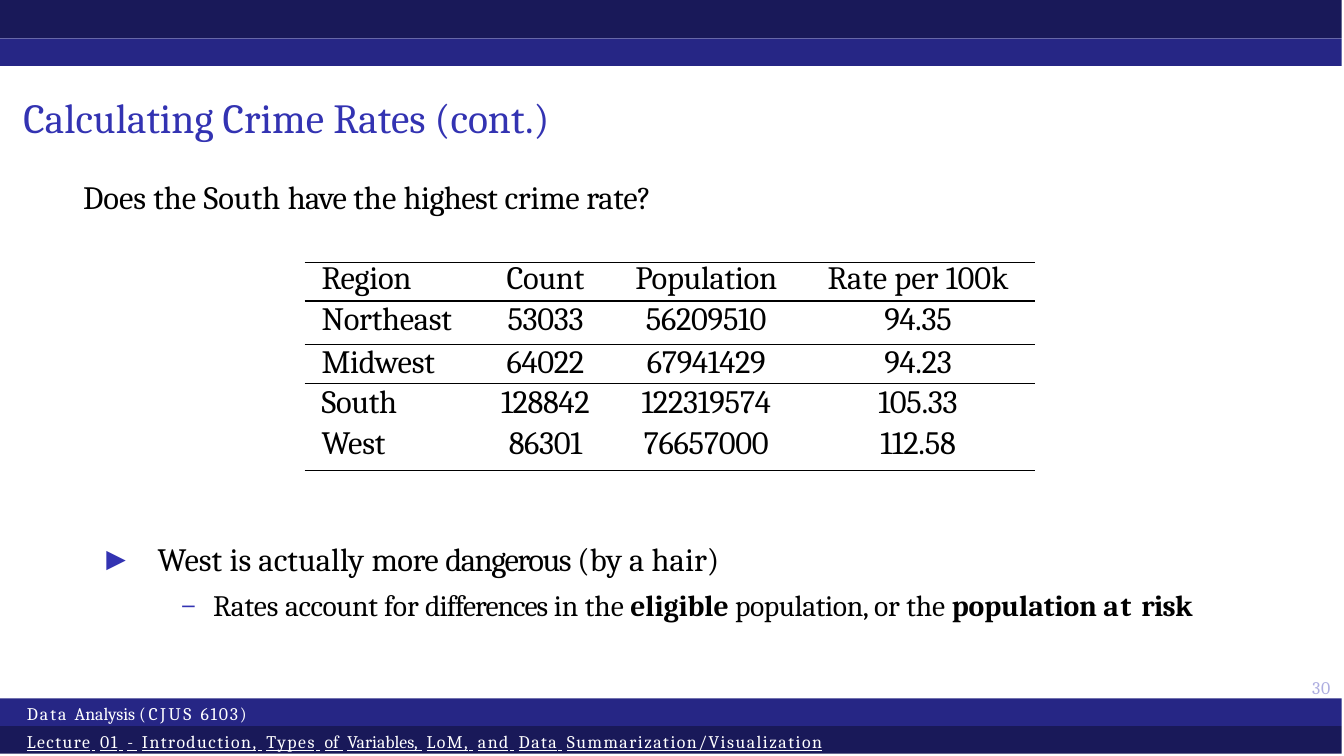
from dataclasses import dataclass

from lxml import etree
from pptx import Presentation
from pptx import util as u
from pptx.dml.color import RGBColor
from pptx.enum import shapes, text
from pptx.oxml import ns

WIDTH, HEIGHT = 6.31, 3.55
SERIF = "Cambria"
NAVY, INDIGO, VIOLET, LAVENDER = "191959", "262685", "3333B2", "ADADE0"
BLACK, WHITE = "000000", "FFFFFF"


@dataclass
class Box:
    left: float
    top: float
    width: float
    height: float

    def area(self, left, top, width, height):
        return Box(self.left + left * self.width, self.top + top * self.height,
                   width * self.width, height * self.height)

    def lengths(self):
        return [u.Inches(value) for value in (self.left, self.top, self.width, self.height)]


def color(value):
    return RGBColor.from_string(value)


def add_xml(parent, tag, position=None, **attributes):
    element = etree.Element(ns.qn(tag), attributes)
    parent.insert(len(parent) if position is None else position, element)
    return element


def add_runs(paragraph, pieces, bold=()):
    for words, spacing in pieces:
        run = paragraph.add_run()
        run.text = words
        if words.strip() in bold:
            run.font.bold = True
        if spacing:
            run._r.get_or_add_rPr().set("spc", str(round(spacing * 100)))


def style(paragraph, size, value, before=0):
    paragraph.space_before = u.Pt(before)
    paragraph.font.name = SERIF
    paragraph.font.size = u.Pt(size)
    paragraph.font.color.rgb = color(value)


def prepare(shape, box, inset=0):
    shape.left, shape.top, shape.width, shape.height = box.lengths()
    frame = shape.text_frame
    frame.word_wrap = True
    frame.auto_size = text.MSO_AUTO_SIZE.NONE
    frame.vertical_anchor = text.MSO_ANCHOR.TOP
    frame.margin_left = frame.margin_right = frame.margin_bottom = 0
    frame.margin_top = u.Inches(inset)
    return frame


def add_text(slide, box, pieces, size, value, inset):
    frame = prepare(slide.shapes.add_textbox(*box.lengths()), box, inset)
    add_runs(frame.paragraphs[0], pieces)
    style(frame.paragraphs[0], size, value)
    return frame


def add_bands(slide, box, bands):
    top = 0
    for share, value in bands:
        band = slide.shapes.add_shape(shapes.MSO_SHAPE.RECTANGLE,
                                      *box.area(0, top, 1, share).lengths())
        band.shadow.inherit = False
        band.fill.solid()
        band.fill.fore_color.rgb = color(value)
        band.line.fill.background()
        top += share


def add_title(slide, box):
    paragraph = prepare(slide.shapes.title, box, 0.04).paragraphs[0]
    add_runs(paragraph, [("Calculating Crime Rates (cont.)", 0)])
    paragraph.alignment = text.PP_ALIGN.LEFT
    style(paragraph, 14, VIOLET)


def add_rule(slide, box):
    left, top, width, _ = box.lengths()
    rule = slide.shapes.add_connector(shapes.MSO_CONNECTOR.STRAIGHT,
                                      left, top, left + width, top)
    rule.line.color.rgb = color(BLACK)
    rule.line.width = u.Pt(0.4)
    add_xml(rule._element.spPr, "a:effectLst")


def add_border(cell, side, position):
    line = add_xml(cell._tc.get_or_add_tcPr(), side, position, w=str(u.Pt(0.5)))
    add_xml(add_xml(line, "a:solidFill"), "a:srgbClr", val=BLACK)


def add_crime_table(slide, box):
    rows = [
        ("Region", "Count", "Population", "Rate per 100k"),
        ("Northeast", "53033", "56209510", "94.35"),
        ("Midwest", "64022", "67941429", "94.23"),
        ("South", "128842", "122319574", "105.33"),
        ("West", "86301", "76657000", "112.58"),
    ]
    column_shares = (0.24, 0.18, 0.26, 0.32)
    row_shares = (0.22, 0.2, 0.18, 0.19, 0.21)
    add_rule(slide, box.area(0, 0.04, 1, 0))
    table = slide.shapes.add_table(len(rows), len(rows[0]), *box.lengths()).table
    table.first_row = table.horz_banding = False
    style_id = table._tbl.tblPr.find(ns.qn("a:tableStyleId"))
    style_id.text = "{2D5ABB26-0587-4C30-8999-92F81FD0307C}"
    for column, share in zip(table.columns, column_shares):
        column.width = u.Inches(share * box.width)
    for index, (row, share) in enumerate(zip(table.rows, row_shares)):
        row.height = u.Inches(share * box.height)
        for place, (cell, words) in enumerate(zip(row.cells, rows[index])):
            cell.fill.background()
            cell.margin_left = u.Inches(0 if place else 0.08)
            cell.margin_right = cell.margin_bottom = 0
            cell.margin_top = u.Inches(0.01 if index else 0.03)
            paragraph = cell.text_frame.paragraphs[0]
            add_runs(paragraph, [(words, -0.1 if index or place < 3 else 0)])
            paragraph.alignment = text.PP_ALIGN.CENTER if place else text.PP_ALIGN.LEFT
            if index:
                paragraph.line_spacing = u.Pt(12)
            style(paragraph, 11, BLACK)
            if index in (0, 1, len(rows) - 1):
                add_border(cell, "a:lnB", 0)
            if index in (1, 2):
                add_border(cell, "a:lnT", 0)


def add_bullet(paragraph, character, font, margin, hanging):
    properties = paragraph._p.get_or_add_pPr()
    properties.set("marL", str(u.Inches(margin)))
    properties.set("indent", str(-u.Inches(hanging)))
    add_xml(add_xml(properties, "a:buClr"), "a:srgbClr", val=VIOLET)
    add_xml(properties, "a:buFont", typeface=font)
    add_xml(properties, "a:buChar", char=character)


def add_findings(slide, box):
    frame = prepare(slide.placeholders[1], box)
    finding, reason = frame.paragraphs[0], frame.add_paragraph()
    add_bullet(finding, "▶", "DejaVu Sans Mono", 0.28, 0.24)
    add_runs(finding, [("West is actually ", 0), ("more ", -0.2), ("dangerous ", -0.5),
                       ("(by a hair)", 0)])
    style(finding, 11, BLACK)
    reason.level = 1
    add_bullet(reason, "–", SERIF, 0.54, 0.15)
    add_runs(reason, [("Rates ", 0), ("account ", -0.1), ("for ", 0), ("differences ", -0.3),
                      ("in the ", 0), ("eligible ", 0), ("population, ", -0.1),
                      ("or the ", 0), ("population ", 0), ("at ", 0.6), ("risk", -0.2)],
             bold=("eligible", "population", "at", "risk"))
    style(reason, 10, BLACK, 3.2)


def add_footer(slide, box):
    add_bands(slide, box, [(0.5, INDIGO), (0.5, NAVY)])
    frame = add_text(slide, box.area(0.02, -0.04, 0.9, 1.04),
                     [("Data ", 0.7), ("Analysis ", 0), ("(CJUS ", 0.9), ("6103)", 0.6)],
                     6, WHITE, 0.03)
    lecture = frame.add_paragraph()
    words = ("Lecture 01 - Introduction, Types of Variables, LoM, and Data "
             "Summarization/Visualization").split()
    for index, word in enumerate(words):
        gap = [(" ", 1.6)] if index else []
        add_runs(lecture, gap + [(word, 0 if word in ("-", "of", "Variables,") else 0.5)])
    style(lecture, 6, WHITE, 2.3)
    for run in lecture.runs:
        run.font.underline = True


def build_slide(presentation):
    slide = presentation.slides.add_slide(presentation.slide_layouts[1])
    add_bands(slide, Box(0, 0, 6.3, 0.31), [(0.58, NAVY), (0.42, INDIGO)])
    add_title(slide, Box(0.11, 0.39, 5.73, 0.3))
    add_text(slide, Box(0.39, 0.81, 3.4, 0.22),
             [("Does the South ", 0), ("have ", -0.3), ("the ", 0), ("highest ", -0.2),
              ("crime rate?", -0.1)], 11, BLACK, 0.02)
    add_crime_table(slide, Box(1.43, 1.19, 3.43, 1.02))
    add_findings(slide, Box(0.46, 2.53, 5.6, 0.5))
    add_text(slide, Box(6.16, 3.15, 0.15, 0.15), [("30", 0.3)], 6, LAVENDER, 0.03)
    add_footer(slide, Box(0, 3.28, 6.3, 0.26))


def main():
    presentation = Presentation()
    presentation.slide_width = u.Inches(WIDTH)
    presentation.slide_height = u.Inches(HEIGHT)
    build_slide(presentation)
    presentation.save("out.pptx")


if __name__ == "__main__":
    main()
